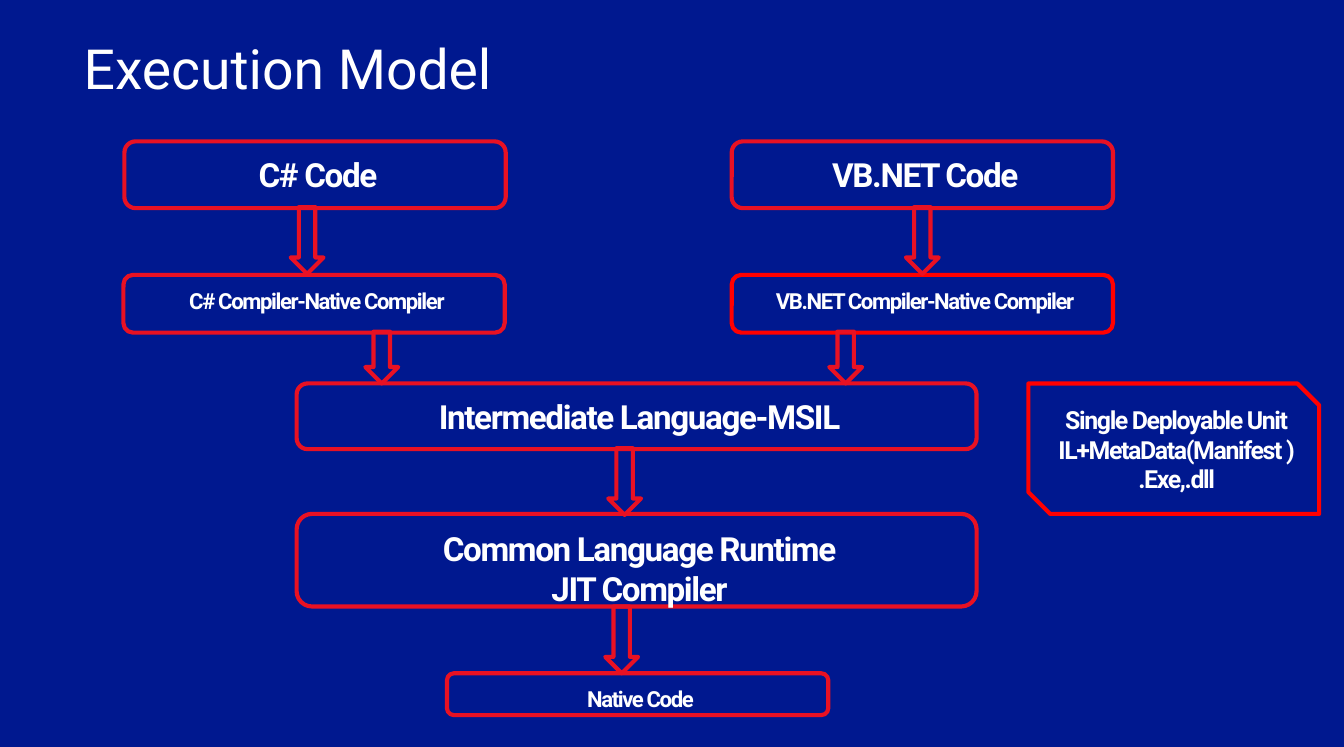
from pptx import Presentation
from pptx.dml.color import RGBColor
from pptx.enum import shapes, text
from pptx.util import Inches, Pt

NAVY = RGBColor(0x00, 0x18, 0x8F)
WHITE = RGBColor(0xFF, 0xFF, 0xFF)
CRIMSON = RGBColor(0xE8, 0x11, 0x23)
RED = RGBColor(0xFF, 0x00, 0x00)
FONT = "Roboto"
ARROW_WIDTH = 0.33
CODE_WIDTH = 3.83
RUNTIME_WIDTH = 6.83

# label, left, top, width, height, font size, outline
STAGES = [
    ("C# Code", 1.25, 1.42, CODE_WIDTH, 0.67, 24, CRIMSON),
    ("VB.NET Code", 7.35, 1.42, CODE_WIDTH, 0.67, 24, CRIMSON),
    ("VB.NET Compiler-Native Compiler", 7.35, 2.76, CODE_WIDTH, 0.58, 16, RED),
    ("C# Compiler-Native Compiler", 1.24, 2.76, CODE_WIDTH, 0.58, 16, CRIMSON),
    ("Intermediate Language-MSIL", 2.98, 3.85, RUNTIME_WIDTH, 0.66, 24, CRIMSON),
    ("Common Language Runtime\nJIT Compiler", 2.98, 5.16, RUNTIME_WIDTH, 0.93, 24, CRIMSON),
    ("Native Code", 4.49, 6.76, CODE_WIDTH, 0.42, 16, CRIMSON),
]

# left, top, height
ARROWS = [
    (2.92, 2.08, 0.67),
    (9.10, 2.08, 0.67),
    (3.67, 3.33, 0.52),
    (8.33, 3.33, 0.52),
    (6.11, 4.50, 0.67),
    (6.08, 6.09, 0.67),
]


def write_text(frame, content, size, bold=False, align=text.PP_ALIGN.LEFT,
               spacing=0, insets=(0.1, 0.1, 0.04, 0.04)):
    """Fill a text frame, one paragraph per line of content."""
    frame.word_wrap = True
    frame.auto_size = text.MSO_AUTO_SIZE.NONE
    frame.vertical_anchor = text.MSO_ANCHOR.TOP
    (frame.margin_left, frame.margin_top,
     frame.margin_right, frame.margin_bottom) = map(Inches, insets)
    frame.text = content
    for paragraph in frame.paragraphs:
        paragraph.alignment = align
        for run in paragraph.runs:
            run.font.name = FONT
            run.font.size = Pt(size)
            run.font.bold = bold
            run.font.color.rgb = WHITE
            if spacing:
                run.font._element.set("spc", str(spacing * 100))


def add_outline(slide, preset, left, top, width, height, color=CRIMSON):
    """Add an unfilled preset shape with a thick outline."""
    outline = slide.shapes.add_shape(
        preset, Inches(left), Inches(top), Inches(width), Inches(height))
    outline.shadow.inherit = False
    outline.fill.background()
    outline.line.color.rgb = color
    outline.line.width = Pt(3)
    return outline


def add_stage(slide, label, left, top, width, height, size, color,
              preset=shapes.MSO_SHAPE.ROUNDED_RECTANGLE):
    """Add an outlined box with a bold, tightly spaced label."""
    stage = add_outline(slide, preset, left, top, width, height, color)
    write_text(stage.text_frame, label, size, bold=True,
               align=text.PP_ALIGN.CENTER, spacing=-1)


def add_title(slide, content):
    """Place and format the title placeholder."""
    title = slide.shapes.title
    title.left, title.top = Inches(0.68), Inches(0.3)
    title.width, title.height = Inches(12.15), Inches(1.25)
    write_text(title.text_frame, content, 40, insets=(0.16, 0.04, 0.16, 0.04))


def main():
    """Build the execution model slide."""
    deck = Presentation()
    deck.slide_width, deck.slide_height = Inches(13.5), Inches(7.5)
    slide = deck.slides.add_slide(deck.slide_layouts.get_by_name("Title Only"))
    slide.background.fill.solid()
    slide.background.fill.fore_color.rgb = NAVY

    add_title(slide, "Execution Model")
    for stage in STAGES:
        add_stage(slide, *stage)
    for left, top, height in ARROWS:
        add_outline(slide, shapes.MSO_SHAPE.DOWN_ARROW, left, top, ARROW_WIDTH, height)
    add_stage(slide, "Single Deployable Unit\nIL+MetaData(Manifest )\n.Exe,.dll",
              10.33, 3.85, 2.92, 1.31, 18, RED,
              preset=shapes.MSO_SHAPE.SNIP_2_DIAG_RECTANGLE)

    deck.save("out.pptx")


main()
